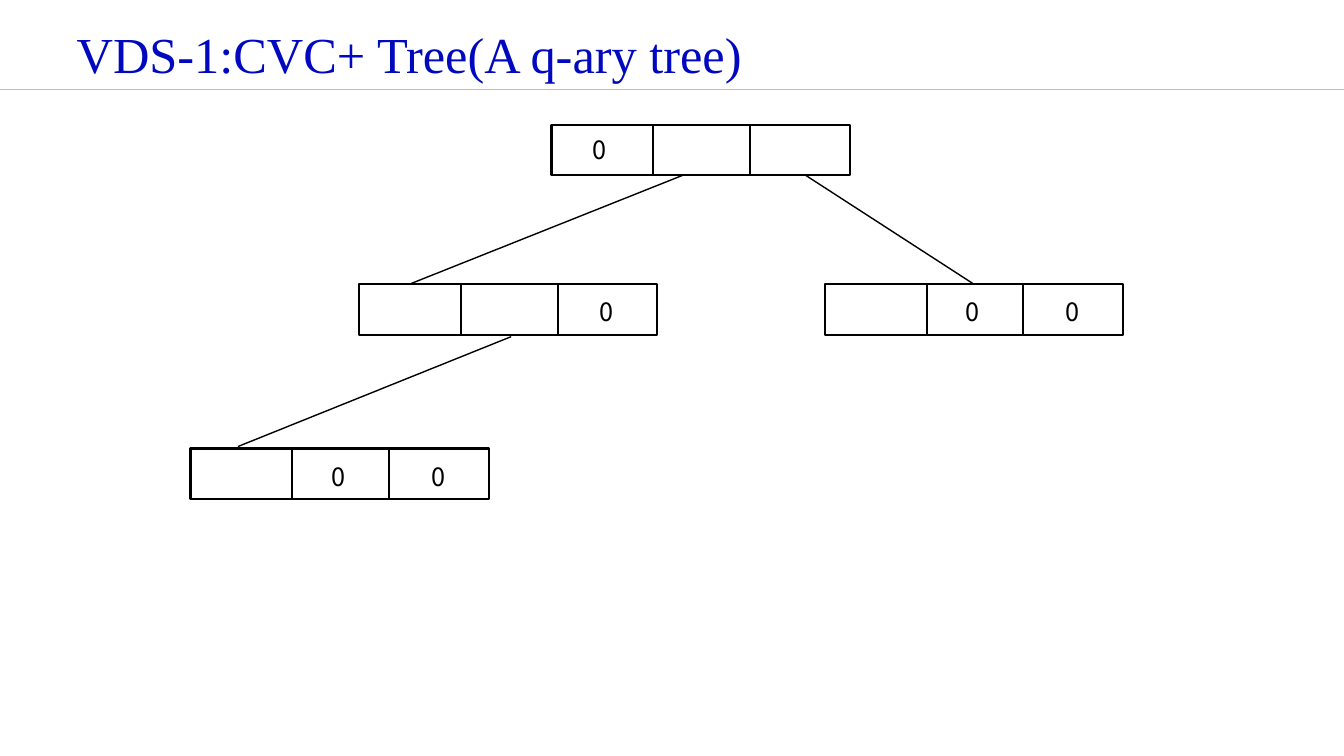
from lxml.etree import SubElement
from pptx import Presentation
from pptx.dml.color import RGBColor
from pptx.enum.shapes import MSO_CONNECTOR, MSO_SHAPE
from pptx.enum.text import MSO_ANCHOR, MSO_AUTO_SIZE, PP_ALIGN
from pptx.oxml.ns import qn
from pptx.util import Inches, Pt


def paint(color_format, hex_color):
    color_format.rgb = RGBColor.from_string(hex_color)


def add_line(shapes, start, end, color, width):
    line = shapes.add_connector(MSO_CONNECTOR.STRAIGHT, *map(Inches, start + end))
    paint(line.line.fill.solid() or line.line.color, color)
    line.line.width = Pt(width)
    SubElement(line._element.spPr, qn("a:effectLst"))


presentation = Presentation()
presentation.slide_width = Inches(13.33)
presentation.slide_height = Inches(7.5)
slide = presentation.slides.add_slide(presentation.slide_layouts[5])

heading = slide.shapes.title
heading_place = {"left": 0.66, "top": 0.18, "width": 10.02, "height": 0.71}
for side, length in heading_place.items():
    setattr(heading, side, Inches(length))
heading.text_frame.text = "VDS-1:CVC+ Tree(A q-ary tree)"
heading_format = {"vertical_anchor": MSO_ANCHOR.TOP, "word_wrap": True,
                  "auto_size": MSO_AUTO_SIZE.SHAPE_TO_FIT_TEXT}
for attribute, value in heading_format.items():
    setattr(heading.text_frame, attribute, value)
heading_line = heading.text_frame.paragraphs[0]
heading_line.alignment = PP_ALIGN.LEFT
heading_line.font.name = "Times New Roman"
heading_line.font.size = Pt(36)
paint(heading_line.font.color, "0009BF")

add_line(slide.shapes, (0, 0.89), (13.33, 0.89), "BFBFBF", 0.5)

branches = [
    ((6.77, 1.74), (4.06, 2.82)),
    ((7.93, 1.7), (9.66, 2.82)),
    ((5.07, 3.34), (2.36, 4.43)),
]
for parent_end, child_end in branches:
    add_line(slide.shapes, parent_end, child_end, "000000", 1)

# Each node: left, top, drop of its labels, cells holding a zero
NODE_WIDTH, NODE_HEIGHT = 2.96, 0.5
DIVIDERS = (1.01, 1.97)
LABEL_INSET, LABEL_PITCH = 0.31, 0.99
nodes = [
    (8.18, 2.82, 0.07, (1, 2)),
    (1.89, 4.45, 0.08, (1, 2)),
    (3.56, 2.82, 0.07, (2,)),
    (5.47, 1.24, 0.04, (0,)),
]
for left, top, label_drop, zero_cells in nodes:
    node = slide.shapes.add_group_shape().shapes
    frame = node.add_shape(MSO_SHAPE.RECTANGLE, Inches(left), Inches(top),
                           Inches(NODE_WIDTH), Inches(NODE_HEIGHT))
    frame.shadow.inherit = False
    frame.fill.solid()
    paint(frame.fill.fore_color, "FFFFFF")
    paint(frame.line.color, "000000")
    frame.line.width = Pt(1.5)
    for offset in DIVIDERS:
        add_line(node, (left + offset, top), (left + offset, top + NODE_HEIGHT),
                 "000000", 1.5)
    for cell in zero_cells:
        zero = node.add_textbox(Inches(left + LABEL_INSET + cell * LABEL_PITCH),
                                Inches(top + label_drop), Inches(0.37), Inches(0.4))
        zero.text_frame.word_wrap = True
        zero.text_frame.auto_size = MSO_AUTO_SIZE.SHAPE_TO_FIT_TEXT
        digit = zero.text_frame.paragraphs[0].add_run()
        digit.text = "0"
        digit.font.name = "Noto Sans CJK SC"
        digit.font.size = Pt(18)
        paint(digit.font.color, "000000")

presentation.save("out.pptx")
